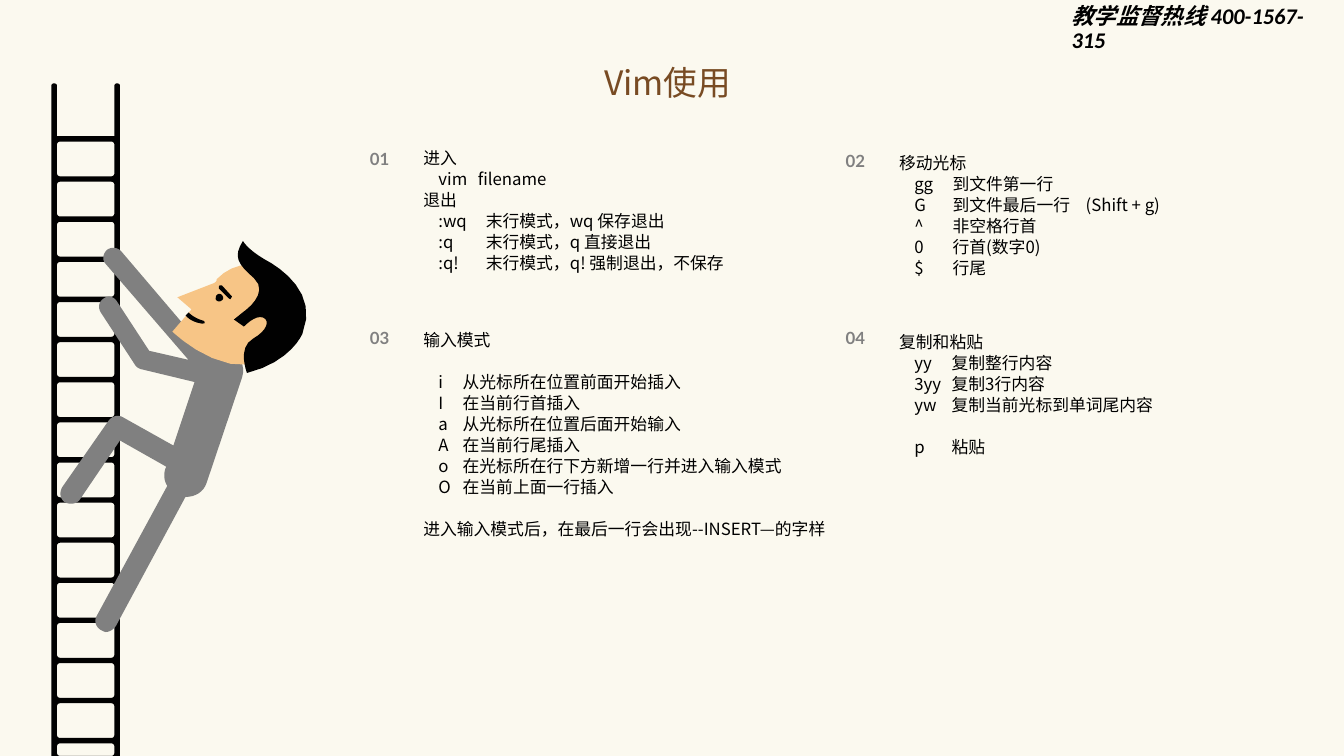
import math

import pptx
import pptx.dml.color
import pptx.enum.shapes
import pptx.enum.text
import pptx.util
from pptx.oxml.ns import qn

Inches = pptx.util.Inches
Pt = pptx.util.Pt
MSO_ANCHOR = pptx.enum.text.MSO_ANCHOR
PP_ALIGN = pptx.enum.text.PP_ALIGN

CJK_FONT = "Noto Sans CJK SC"
CREAM, BROWN, BLACK, INK, GREY, SKIN = "F7F2DA", "784B23", "000000", "010101", "808080", "F7C586"

# Climber outlines in inches from the corner of the figure's box:
# a pair is a straight line to that point, a sextuple a Bézier curve.
BODY = [
    (1.76, 1.47), (1.69, 1.45, 1.62, 1.47, 1.56, 1.5),
    (0.7, 0.49), (0.66, 0.45, 0.6, 0.45, 0.56, 0.48), (0.52, 0.52, 0.51, 0.58, 0.55, 0.62),
    (1.37, 1.57), (0.98, 1.48),
    (0.66, 0.99), (0.63, 0.94, 0.57, 0.93, 0.53, 0.96), (0.48, 0.99, 0.47, 1.05, 0.5, 1.1),
    (0.84, 1.62), (0.85, 1.64, 0.87, 1.65, 0.89, 1.66),
    (1.43, 1.79), (1.22, 2.42),
    (0.72, 2.14), (0.67, 2.11, 0.61, 2.13, 0.58, 2.17),
    (0.12, 2.83), (0.09, 2.88, 0.09, 2.94, 0.14, 2.98), (0.19, 3.01, 0.26, 3.0, 0.29, 2.96),
    (0.69, 2.37), (1.15, 2.63), (1.14, 2.65), (1.12, 2.71, 1.13, 2.78, 1.16, 2.82),
    (0.46, 4.11), (0.43, 4.16, 0.45, 4.22, 0.5, 4.25), (0.52, 4.26, 0.54, 4.27, 0.55, 4.27),
    (0.59, 4.27, 0.63, 4.24, 0.65, 4.21),
    (1.34, 2.93), (1.44, 2.93, 1.52, 2.88, 1.55, 2.79),
    (1.9, 1.75), (1.94, 1.63, 1.88, 1.51, 1.76, 1.47),
]
FACE = [
    (1.62, 0.81), (1.64, 0.8, 1.65, 0.79, 1.65, 0.77),
    (1.82, 0.59, 2.11, 0.57, 2.29, 0.74), (2.52, 0.95, 2.53, 1.22, 2.36, 1.41),
    (1.88, 1.95, 1.21, 1.29, 1.21, 1.29), (1.4, 1.07), (1.26, 0.95),
]
HAIR = [
    (1.92, 1.09), (1.92, 1.09, 2.18, 0.91, 2.02, 0.76), (1.86, 0.62, 1.81, 0.55, 1.91, 0.39),
    (1.91, 0.39, 1.95, 0.47, 2.12, 0.57), (2.29, 0.66, 2.66, 0.91, 2.5, 1.31),
    (2.5, 1.31, 2.39, 1.59, 1.95, 1.7), (1.95, 1.7, 1.85, 1.45, 2.01, 1.36),
    (2.15, 1.28, 2.18, 1.18, 2.11, 1.15), (2.03, 1.12, 1.92, 1.24, 1.92, 1.24), (1.82, 1.17),
]
EYE = [
    (1.66, 0.92), (1.64, 0.93, 1.64, 0.95, 1.64, 0.97), (1.65, 0.99, 1.68, 1.0, 1.7, 0.98),
    (1.71, 0.98, 1.72, 0.95, 1.71, 0.94), (1.7, 0.92, 1.68, 0.91, 1.66, 0.92),
]
EYEBROW = [
    (1.68, 0.83), (1.67, 0.84, 1.67, 0.85, 1.67, 0.86), (1.77, 0.96),
    (1.78, 0.97, 1.79, 0.97, 1.79, 0.96), (1.8, 0.95, 1.8, 0.94, 1.8, 0.94),
    (1.7, 0.83), (1.69, 0.83, 1.68, 0.83, 1.68, 0.83),
]
MOUTH = [
    (1.53, 1.2), (1.53, 1.19, 1.52, 1.18, 1.51, 1.18), (1.44, 1.16, 1.39, 1.12, 1.37, 1.1),
    (1.34, 1.13), (1.35, 1.14), (1.38, 1.17, 1.43, 1.2, 1.5, 1.21),
    (1.52, 1.21, 1.53, 1.21, 1.53, 1.2),
]
CLIMBER = [(BODY, GREY), (FACE, SKIN), (HAIR, INK), (EYE, INK), (EYEBROW, INK), (MOUTH, INK)]

# Number, its offset from the box top, box, tab stops, lines;
# a line may carry the space before it in points and tab stops of its own.
SECTIONS = [
    ("01", 0.04, (4.1, 1.41, 3.32, 1.36), (0.15, 0.62), [
        "进入", ("\tvim\tfilename", 0, (0.15, 0.54)), "退出", "\t:wq\t末行模式，wq 保存退出",
        "\t:q\t末行模式，q 直接退出", "\t:q!\t末行模式，q! 强制退出，不保存"]),
    ("02", 0.01, (8.82, 1.46, 3.2, 1.35), (0.15, 0.53, 1.85), [
        "移动光标", "\tgg\t到文件第一行", "\tG\t到文件最后一行\t(Shift + g)",
        "\t^\t非空格行首", "\t0\t行首(数字0)", "\t$\t行尾"]),
    ("03", 0.02, (4.1, 3.21, 4.45, 2.2), (0.15, 0.39), [
        "输入模式", ("\ti\t从光标所在位置前面开始插入", 15), "\tI\t在当前行首插入",
        "\ta\t从光标所在位置后面开始输入", "\tA\t在当前行尾插入",
        "\to\t在光标所在行下方新增一行并进入输入模式", "\tO\t在当前上面一行插入",
        ("进入输入模式后，在最后一行会出现--INSERT—的字样", 15)]),
    ("04", 0, (8.82, 3.23, 3.2, 1.36), (0.15, 0.52), [
        "复制和粘贴", "\tyy\t复制整行内容", "\t3yy\t复制3行内容",
        "\tyw\t复制当前光标到单词尾内容", ("\tp\t粘贴", 15)]),
]


def color(value):
    return pptx.dml.color.RGBColor.from_string(value)


def paint(shape, fill):
    shape.shadow.inherit = False
    shape.fill.solid()
    shape.fill.fore_color.rgb = color(fill)
    shape.line.fill.background()


def set_frame(shape, anchor=MSO_ANCHOR.TOP, insets=(0.1, 0.05)):
    frame = shape.text_frame
    frame.word_wrap = True
    frame.auto_size = pptx.enum.text.MSO_AUTO_SIZE.NONE
    frame.vertical_anchor = anchor
    frame.margin_left = frame.margin_right = Inches(insets[0])
    frame.margin_top = frame.margin_bottom = Inches(insets[1])
    return frame


def add_text_frame(slide, box, *settings):
    return set_frame(slide.shapes.add_textbox(*map(Inches, box)), *settings)


def add_run(paragraph, text, size, font, ink, bold=False, italic=False):
    run = paragraph.add_run()
    run.text = text
    run.font.size, run.font.name = Pt(size), font
    run.font.bold, run.font.italic = bold, italic
    run.font.color.rgb = color(ink)
    east_asian = run.font._element.makeelement(qn("a:ea"), {"typeface": CJK_FONT})
    run.font._element.find(qn("a:latin")).addnext(east_asian)


def set_tabs(paragraph, stops):
    properties = paragraph._p.get_or_add_pPr()
    tabs = properties.makeelement(qn("a:tabLst"), {})
    properties.append(tabs)
    for stop in stops:
        tabs.append(tabs.makeelement(qn("a:tab"), {"pos": str(Inches(stop)), "algn": "l"}))


def flatten(outline, steps=8):
    """Turn an outline of lines and Bézier curves into points."""
    points = [outline[0]]
    for segment in outline[1:]:
        if len(segment) == 2:
            points.append(segment)
            continue
        corners = [points[-1], segment[:2], segment[2:4], segment[4:]]
        for step in range(1, steps + 1):
            t = step / steps
            weights = [math.comb(3, k) * t ** k * (1 - t) ** (3 - k) for k in range(4)]
            points.append(tuple(sum(weight * corner[axis] for weight, corner in zip(weights, corners))
                                for axis in (0, 1)))
    return points


def add_outline(shapes, origin, contours, fill):
    """Draw closed contours, given in inches from the origin, as one freeform."""
    builder = None
    for contour in contours:
        points = [(Inches(origin[0] + x), Inches(origin[1] + y)) for x, y in contour]
        if builder is None:
            builder = shapes.build_freeform(*points[0], scale=1.0)
        else:
            builder.move_to(*points[0])
        builder.add_line_segments(points[1:], close=True)
    paint(builder.convert_to_shape(), fill)


def rounded_gap(left, top, right, bottom, radius=0.03):
    near = radius * 0.45
    return flatten([
        (left + radius, top), (left + near, top, left, top + near, left, top + radius),
        (left, bottom - radius),
        (left, bottom - near, left + near, bottom, left + radius, bottom),
        (right - radius, bottom),
        (right - near, bottom, right, bottom - near, right, bottom - radius),
        (right, top + radius), (right, top + near, right - near, top, right - radius, top)], steps=4)


def add_ladder(shapes, box):
    left, top, width, height = box
    rail, first_rung, pitch, gap = 0.055, 0.53, 0.398, 0.345
    inner, cap = width - rail, 0.03
    contours = [flatten([
        (0, cap), (0, 0, rail, 0, rail, cap), (rail, first_rung), (inner, first_rung),
        (inner, cap), (inner, 0, width, 0, width, cap), (width, height), (0, height)])]
    for index in range(math.ceil((height - first_rung) / pitch)):
        gap_top = first_rung + rail + index * pitch
        contours.append(rounded_gap(rail, gap_top, inner, min(gap_top + gap, height)))
    add_outline(shapes, (left, top), contours, INK)


def add_climber(shapes, origin):
    for outline, fill in CLIMBER:
        add_outline(shapes, origin, [flatten(outline)], fill)


def add_backdrop(slide, box):
    """Lay a translucent sheet behind everything else."""
    sheet = slide.shapes.add_shape(pptx.enum.shapes.MSO_SHAPE.RECTANGLE, *map(Inches, box))
    paint(sheet, CREAM)
    fill = sheet._element.spPr.find(qn("a:solidFill"))[0]
    fill.append(fill.makeelement(qn("a:alpha"), {"val": "43000"}))
    slide.shapes.title._element.addprevious(sheet._element)


def add_hotline(slide, box):
    paragraph = add_text_frame(slide, box).paragraphs[0]
    paragraph.line_spacing = 0.9
    add_run(paragraph, "教学监督热线 400-1567-315", 16, "Calibri", BLACK, bold=True, italic=True)


def fill_title(slide, box):
    title = slide.shapes.title
    title.left, title.top, title.width, title.height = map(Inches, box)
    paragraph = set_frame(title).paragraphs[0]
    paragraph.alignment = PP_ALIGN.CENTER
    add_run(paragraph, "Vim使用", 24, CJK_FONT, BROWN)


def add_section(slide, number, offset, box, stops, lines):
    label_box = (box[0] - 0.81, box[1] + offset, 0.95, 0.24)
    label = add_text_frame(slide, label_box, MSO_ANCHOR.MIDDLE, (0.05, 0.03)).paragraphs[0]
    label.alignment, label.line_spacing = PP_ALIGN.CENTER, Pt(15)
    add_run(label, number, 12, "Lato", GREY, bold=True)

    frame = add_text_frame(slide, box)
    for index, line in enumerate(lines):
        text, space, *own_stops = line if isinstance(line, tuple) else (line, 0)
        paragraph = frame.add_paragraph() if index else frame.paragraphs[0]
        set_tabs(paragraph, own_stops[0] if own_stops else stops)
        paragraph.line_spacing, paragraph.space_before = Pt(15), Pt(space)
        add_run(paragraph, text, 12, CJK_FONT, BLACK)


def main():
    presentation = pptx.Presentation()
    presentation.slide_width, presentation.slide_height = Inches(13.33), Inches(7.5)
    slide = presentation.slides.add_slide(presentation.slide_layouts.get_by_name("Title Only"))
    add_backdrop(slide, (0, 0, 13.33, 7.5))
    add_hotline(slide, (10.53, 0, 2.8, 0.39))
    figure = slide.shapes.add_group_shape()
    add_ladder(figure.shapes, (0.51, 0.82, 0.68, 6.68))
    add_climber(figure.shapes, (0.5, 2))
    fill_title(slide, (4.42, 0.56, 4.4, 0.5))
    for section in SECTIONS:
        add_section(slide, *section)
    presentation.save("out.pptx")


if __name__ == "__main__":
    main()
